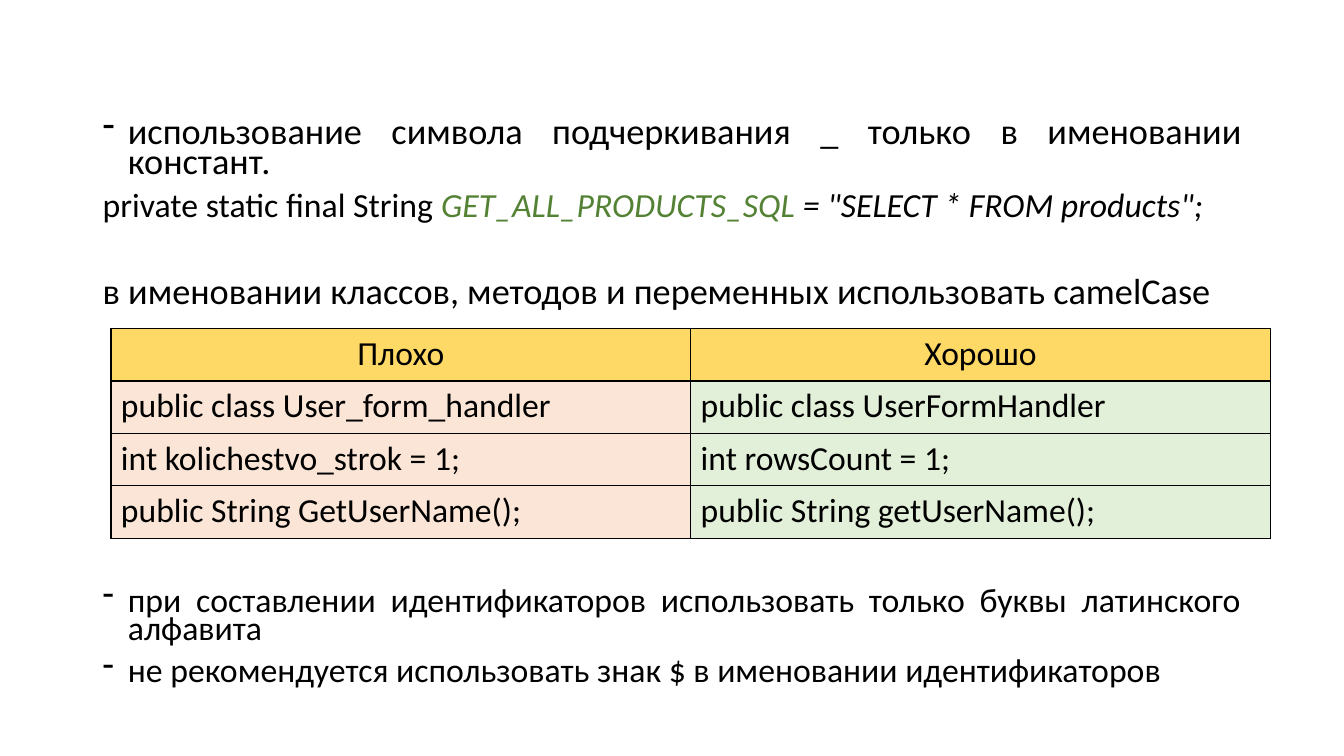
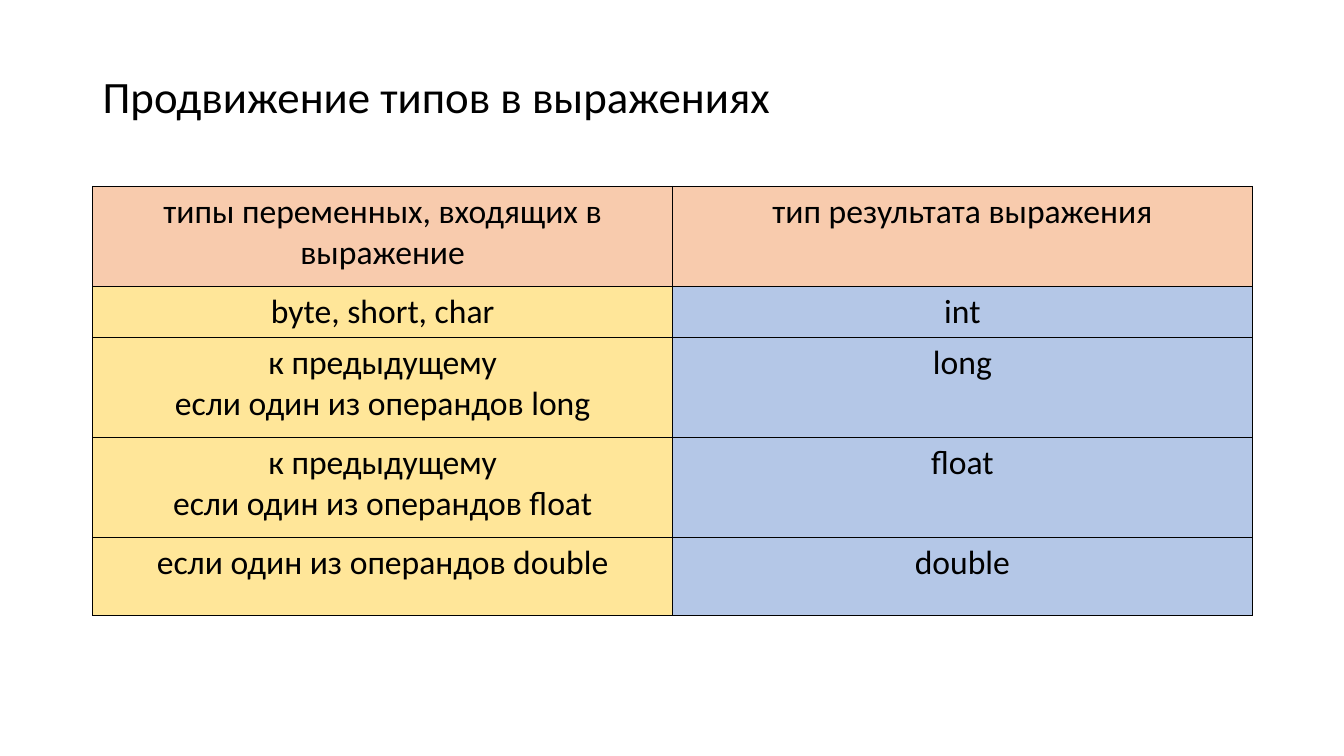
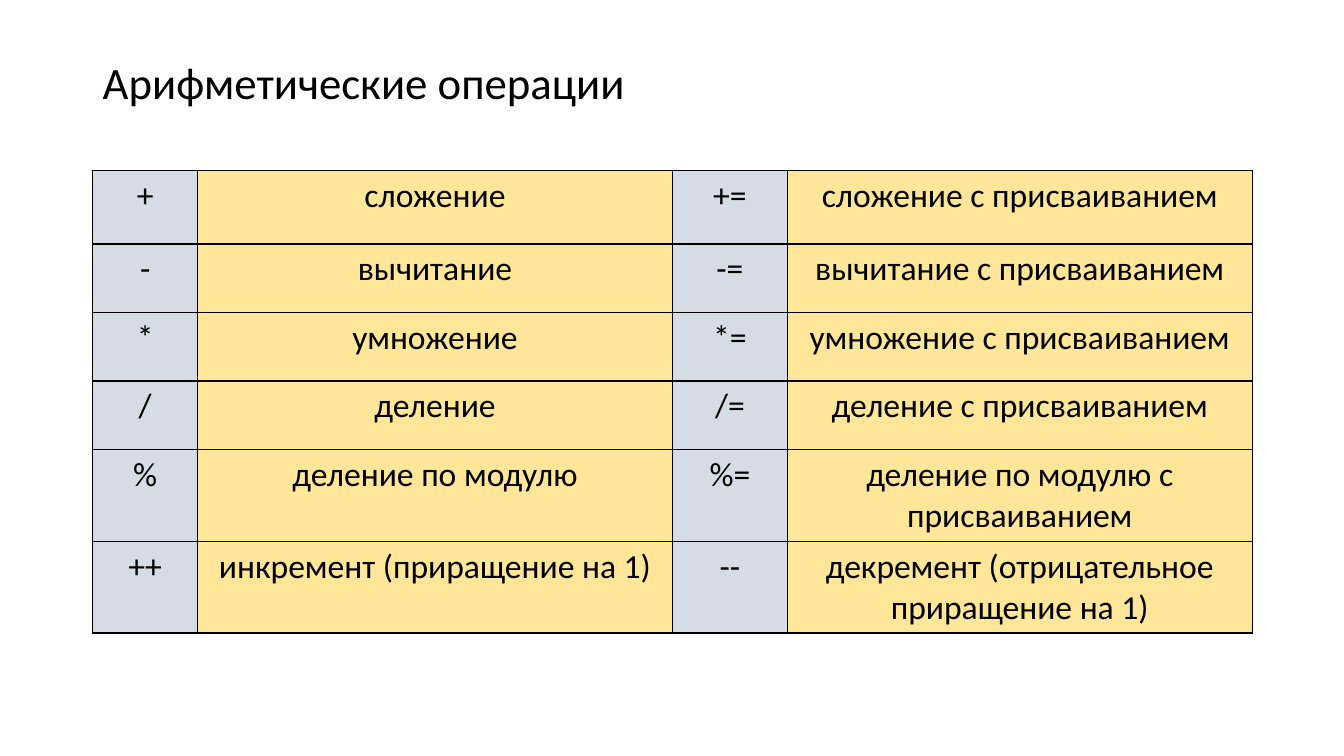
"""Build three slides on Java naming rules, type promotion and arithmetic operators."""
from dataclasses import dataclass
from typing import Optional

from pptx import Presentation
from pptx import util as u
from pptx.dml.color import RGBColor
from pptx.enum import text
from pptx.oxml import parse_xml
from pptx.oxml.ns import nsdecls

FONT = "Calibri"
LEFT, WIDTH = 0.92, 11.5
TITLE_SIZE, CELL_SIZE, RULE_SIZE, CODE_SIZE = 32, 24, 25.9, 24.1
COLORS = {
    "ink": "000000",
    "constant": "548235",
    "gold": "FFD966",
    "bad": "FBE5D6",
    "good": "E2F0D9",
    "peach": "F8CBAD",
    "yellow": "FFE699",
    "blue": "B4C7E7",
    "grey": "D6DCE5",
}
ALIGN = text.PP_ALIGN


@dataclass(frozen=True)
class Run:
    text: str
    color: str = "ink"
    italic: bool = False


@dataclass(frozen=True)
class Para:
    runs: tuple[Run, ...]
    size: float
    bullet: bool = False
    before: float = 10


@dataclass(frozen=True)
class Grid:
    left: float
    top: float
    cols: tuple[float, ...]
    heights: tuple[float, ...]
    rows: tuple[tuple[str, ...], ...]
    fills: tuple[str, ...]
    head_fill: Optional[str] = None
    body_align: ALIGN = ALIGN.CENTER


def rgb(name: str) -> RGBColor:
    return RGBColor.from_string(COLORS[name])


def add_run(p, run: Run, size: float) -> None:
    r = p.add_run()
    r.text = run.text
    r.font.name = FONT
    r.font.size = u.Pt(size)
    r.font.italic = run.italic
    r.font.color.rgb = rgb(run.color)


def add_box(s, top: float, height: float):
    sp = s.shapes.add_textbox(*map(u.Inches, (LEFT, top, WIDTH, height)))
    sp.text_frame.word_wrap = True
    return sp.text_frame


def add_title(s, title: str, top: float, height: float) -> None:
    tf = add_box(s, top, height)
    tf.vertical_anchor = text.MSO_ANCHOR.MIDDLE
    p = tf.paragraphs[0]
    p.line_spacing = 0.9
    add_run(p, Run(title), TITLE_SIZE)


def add_body(s, top: float, height: float, paras: tuple[Para, ...]) -> None:
    tf = add_box(s, top, height)
    for i, para in enumerate(paras):
        p = tf.add_paragraph() if i else tf.paragraphs[0]
        if para.bullet:
            pPr = p._p.get_or_add_pPr()
            pPr.set("marL", str(u.Inches(0.25)))
            pPr.set("indent", str(-u.Inches(0.25)))
            pPr.append(parse_xml(f'<a:buChar {nsdecls("a")} char="-"/>'))
        p.alignment = ALIGN.JUSTIFY
        p.line_spacing = 0.7
        p.space_before = u.Pt(para.before if i else 0)
        for run in para.runs:
            add_run(p, run, para.size)


def add_borders(cell) -> None:
    tcPr = cell._tc.get_or_add_tcPr()
    for side in ("lnL", "lnR", "lnT", "lnB"):
        tcPr.append(parse_xml(
            f'<a:{side} {nsdecls("a")} w="{u.Pt(1)}"><a:solidFill>'
            f'<a:srgbClr val="{COLORS["ink"]}"/></a:solidFill></a:{side}>'))


def add_grid(s, grid: Grid) -> None:
    frame = s.shapes.add_table(
        len(grid.rows), len(grid.cols), u.Inches(grid.left), u.Inches(grid.top),
        u.Inches(sum(grid.cols)), u.Inches(sum(grid.heights)))
    table = frame.table
    table.first_row = table.horz_banding = False
    for col, width in zip(table.columns, grid.cols):
        col.width = u.Inches(width)
    for i, (row, height, values) in enumerate(zip(table.rows, grid.heights, grid.rows)):
        row.height = u.Inches(height)
        is_head = i == 0 and grid.head_fill is not None
        for cell, value, fill in zip(row.cells, values, grid.fills):
            add_borders(cell)
            cell.fill.solid()
            cell.fill.fore_color.rgb = rgb(grid.head_fill if is_head else fill)
            for j, line in enumerate(value.split("\n")):
                p = cell.text_frame.add_paragraph() if j else cell.text_frame.paragraphs[0]
                p.alignment = ALIGN.CENTER if is_head else grid.body_align
                add_run(p, Run(line), CELL_SIZE)


NAMING_RULES = (
    Para((Run("использование символа подчеркивания _ только в именовании констант."),),
         RULE_SIZE, bullet=True),
    Para((Run("private static final String "),
          Run("GET_ALL_PRODUCTS_SQL", "constant", True),
          Run(' = "SELECT * FROM products";', italic=True)), CODE_SIZE),
    Para((Run("в именовании классов, методов и переменных использовать сamelCase"),),
         RULE_SIZE, before=40.6),
)
IDENTIFIER_RULES = (
    Para((Run("при составлении идентификаторов использовать только буквы латинского алфавита"),),
         CODE_SIZE, bullet=True),
    Para((Run("не рекомендуется использовать знак $ в именовании идентификаторов"),),
         CODE_SIZE, bullet=True),
)
NAMING = Grid(
    1.1, 3.26, (WIDTH / 2,) * 2, (0.52,) * 4,
    (
        ("Плохо", "Хорошо"),
        ("public class User_form_handler", "public class UserFormHandler"),
        ("int kolichestvo_strok = 1;", "int rowsCount = 1;"),
        ("public String GetUserName();", "public String getUserName();"),
    ),
    ("bad", "good"), "gold", ALIGN.LEFT)
PROMOTION = Grid(
    LEFT, 1.85, (WIDTH / 2,) * 2, (0.99, 0.51, 0.99, 0.99, 0.78),
    (
        ("типы переменных, входящих в выражение", "тип результата выражения"),
        ("byte, short, char", "int"),
        ("к предыдущему\nесли один из операндов long", "long"),
        ("к предыдущему\nесли один из операндов float", "float"),
        ("если один из операндов double", "double"),
    ),
    ("yellow", "blue"), "peach")
OPERATORS = Grid(
    LEFT, 1.69, (1.04, 4.71, 1.14, 4.61), (0.73, 0.68, 0.68, 0.68, 0.91, 0.91),
    (
        ("+", "сложение", "+=", "сложение с присваиванием"),
        ("-", "вычитание", "-=", "вычитание с присваиванием"),
        ("*", "умножение", "*=", "умножение с присваиванием"),
        ("/", "деление", "/=", "деление с присваиванием"),
        ("%", "деление по модулю", "%=", "деление по модулю с присваиванием"),
        ("++", "инкремент (приращение на 1)", "--",
         "декремент (отрицательное приращение на 1)"),
    ),
    ("grey", "yellow") * 2)


def main() -> None:
    prs = Presentation()
    prs.slide_width, prs.slide_height = u.Inches(13.33), u.Inches(7.5)
    naming, promotion, operators = (
        prs.slides.add_slide(prs.slide_layouts[6]) for _ in range(3))

    add_body(naming, 1.14, 2.0, NAMING_RULES)
    add_grid(naming, NAMING)
    add_body(naming, 5.8, 1.15, IDENTIFIER_RULES)

    add_title(promotion, "Продвижение типов в выражениях", 0.56, 0.84)
    add_grid(promotion, PROMOTION)

    add_title(operators, "Арифметические операции", 0.4, 0.88)
    add_grid(operators, OPERATORS)

    prs.save("out.pptx")


if __name__ == "__main__":
    main()
